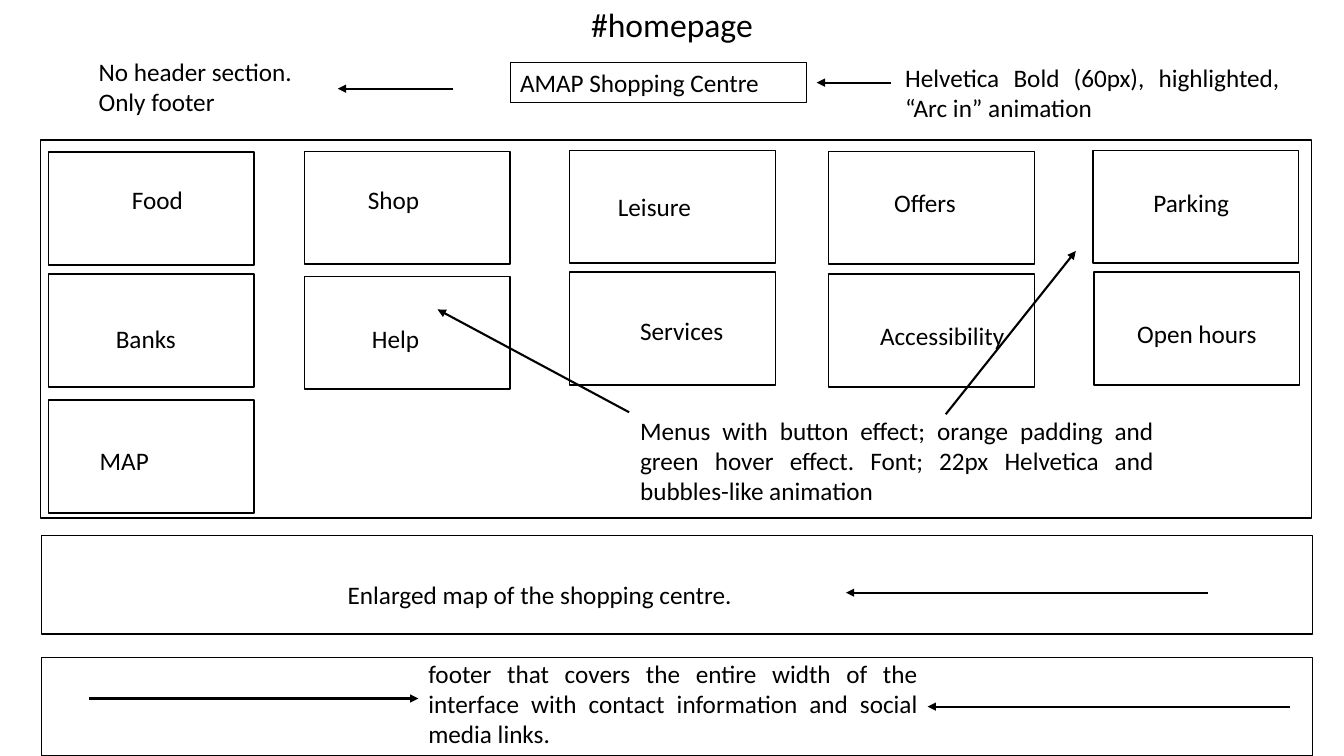
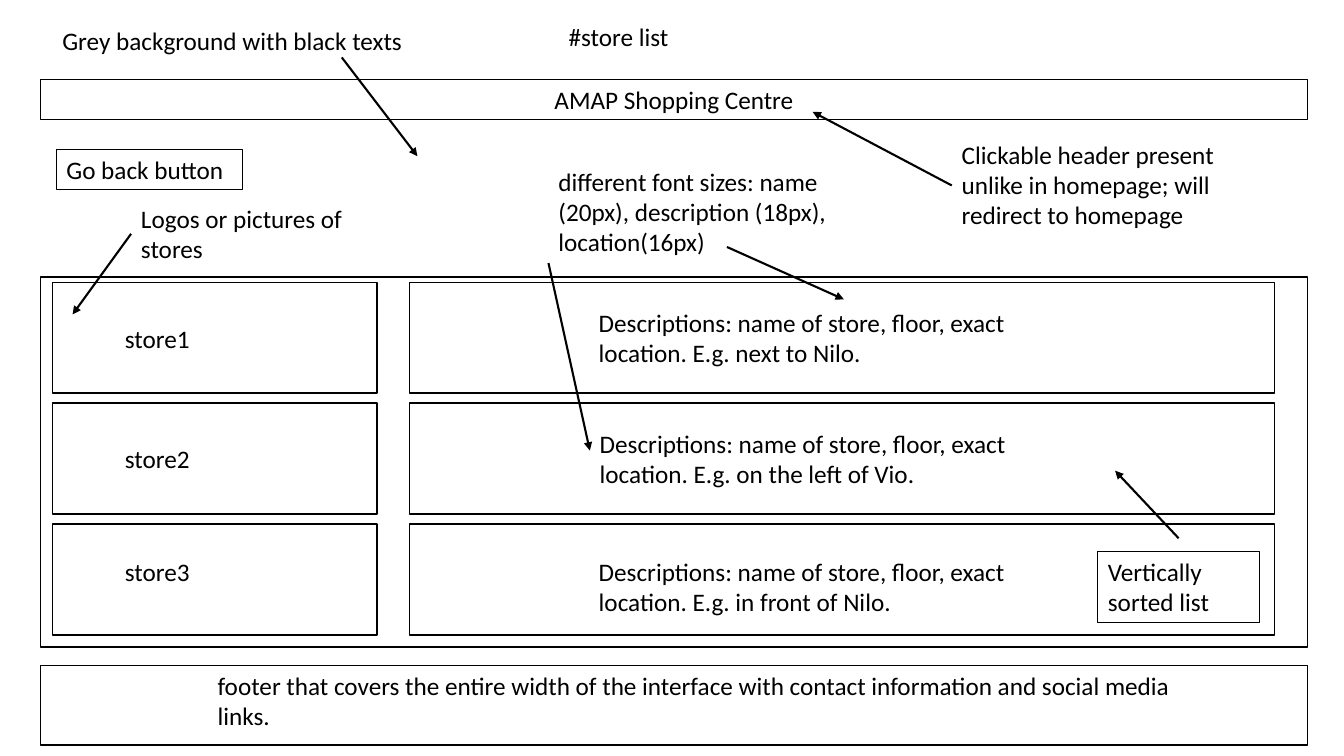
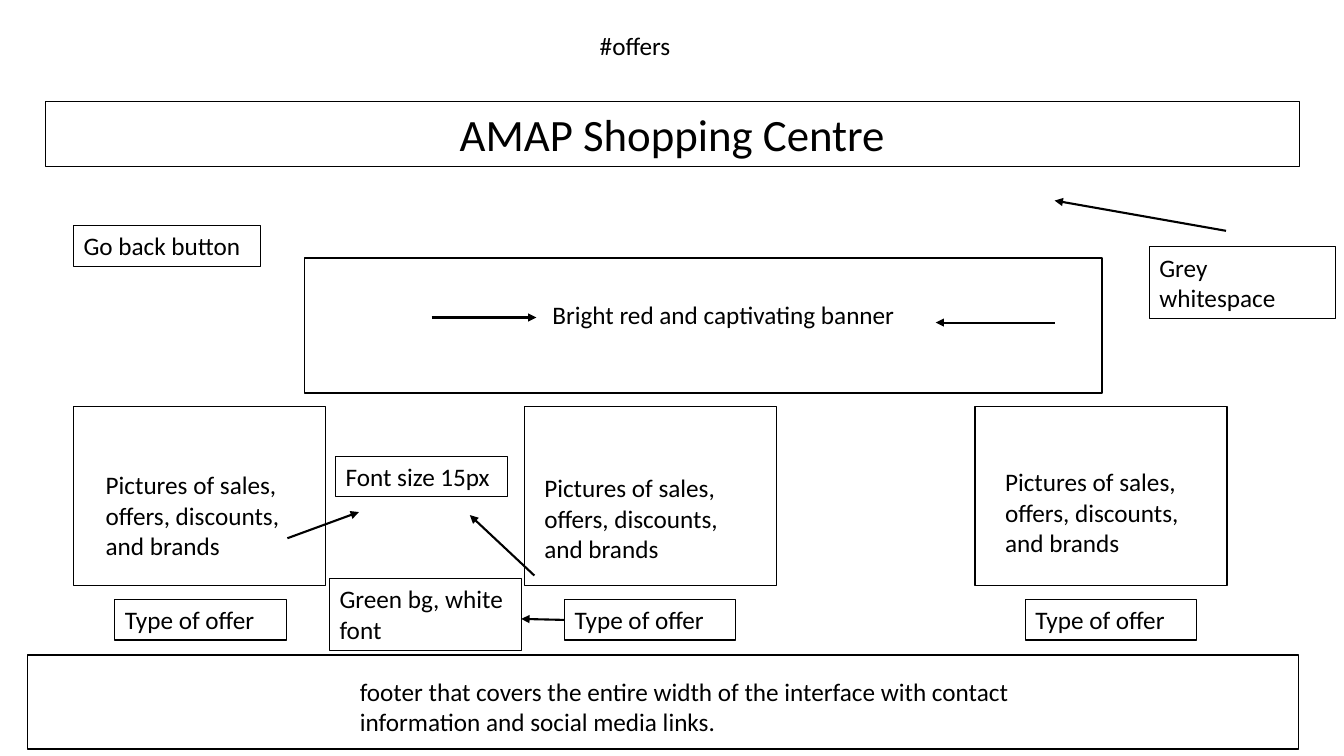
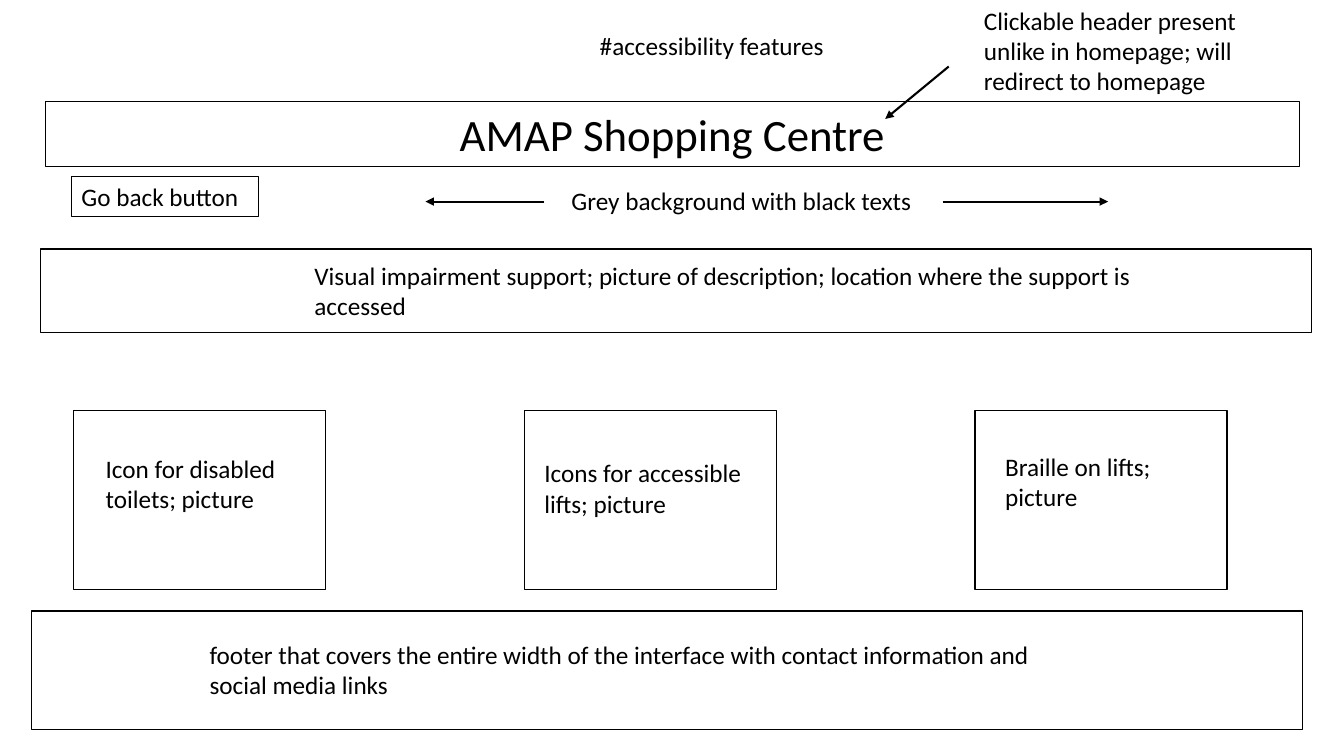
from dataclasses import dataclass

from lxml import etree
from pptx import Presentation, util as u
from pptx.dml import color
from pptx.enum import shapes, text as txt
from pptx.oxml import ns
from pptx.slide import Slide


@dataclass(frozen=True)
class Theme:
    font: str = "Calibri"
    ink: color.RGBColor = color.RGBColor(0, 0, 0)
    body: float = 18
    title: float = 24
    brand: float = 32
    frame: float = 1
    edge: float = 0.75
    arrow: float = 1.5


@dataclass(frozen=True)
class Rect:
    left: float
    top: float
    width: float
    height: float

    def size(self) -> list[u.Inches]:
        return [u.Inches(n) for n in (self.left, self.top, self.width, self.height)]


@dataclass(frozen=True)
class Note:
    words: str
    area: Rect
    align: txt.PP_ALIGN = txt.PP_ALIGN.LEFT
    points: float = Theme.body
    edged: bool = False


@dataclass(frozen=True)
class Arrow:
    x1: float
    y1: float
    x2: float
    y2: float


@dataclass(frozen=True)
class Menu:
    name: str
    left: float
    top: float
    x: float
    y: float
    width: float = 0.99


@dataclass(frozen=True)
class Card:
    words: str
    x: float
    y: float
    width: float
    height: float


THEME = Theme()
MID = txt.PP_ALIGN.CENTER
FULL = txt.PP_ALIGN.JUSTIFY
BRAND = "AMAP Shopping Centre"
BACK = "Go back button"
GREY = "Grey background with black texts"
CLICK = "Clickable header present unlike in homepage; will redirect to homepage"
FOOT = "footer that covers the entire width of the interface with contact information and social media links"


def draw_frame(slide: Slide, area: Rect) -> None:
    box = slide.shapes.add_shape(shapes.MSO_SHAPE.RECTANGLE, *area.size())
    box.shadow.inherit = False
    box.fill.background()
    box.line.color.rgb = THEME.ink
    box.line.width = u.Pt(THEME.frame)


def draw_note(slide: Slide, note: Note) -> None:
    box = slide.shapes.add_textbox(*note.area.size())
    if note.edged:
        box.line.color.rgb = THEME.ink
        box.line.width = u.Pt(THEME.edge)
    frame = box.text_frame
    frame.word_wrap = True
    frame.auto_size = txt.MSO_AUTO_SIZE.SHAPE_TO_FIT_TEXT
    frame.text = note.words
    for para in frame.paragraphs:
        para.alignment = note.align
        for run in para.runs:
            run.font.name = THEME.font
            run.font.size = u.Pt(note.points)
            run.font.color.rgb = THEME.ink


def draw_arrow(slide: Slide, arrow: Arrow) -> None:
    ends = [u.Inches(n) for n in (arrow.x1, arrow.y1, arrow.x2, arrow.y2)]
    link = slide.shapes.add_connector(shapes.MSO_CONNECTOR.STRAIGHT, *ends)
    link.line.color.rgb = THEME.ink
    link.line.width = u.Pt(THEME.arrow)
    props = link._element.spPr
    etree.SubElement(props.find(ns.qn("a:ln")), ns.qn("a:tailEnd"), type="triangle")
    etree.SubElement(props, ns.qn("a:effectLst"))


def draw_all(slide: Slide, frames: list[Rect], notes: list[Note], arrows: list[Arrow]) -> None:
    for area in frames:
        draw_frame(slide, area)
    for note in notes:
        draw_note(slide, note)
    for arrow in arrows:
        draw_arrow(slide, arrow)


def draw_brand(slide: Slide) -> None:
    draw_note(slide, Note(BRAND, Rect(0.45, 1.01, 12.44, 0.64), MID, THEME.brand, True))


def draw_back(slide: Slide, left: float, top: float) -> None:
    draw_note(slide, Note(BACK, Rect(left, top, 1.85, 0.4), edged=True))


def draw_cards(slide: Slide, top: float, cards: list[Card]) -> None:
    for col, card in enumerate(cards):
        draw_frame(slide, Rect(0.73 + 4.47 * col, top, 2.5, 1.78))
        draw_note(slide, Note(card.words, Rect(card.x, card.y, card.width, card.height)))


def draw_home(slide: Slide) -> None:
    menus = [
        Menu("Food", 0.48, 1.51, 1.21, 1.78),
        Menu("Shop", 3.02, 1.5, 3.55, 1.78),
        Menu("Leisure", 5.65, 1.49, 6.03, 1.85),
        Menu("Offers", 8.22, 1.5, 8.77, 1.81),
        Menu("Parking", 10.84, 1.49, 11.34, 1.81),
        Menu("Banks", 0.48, 2.72, 1.05, 3.16),
        Menu("Help", 3.02, 2.74, 3.59, 3.16),
        Menu("Services", 5.65, 2.7, 6.25, 3.08, 1.15),
        Menu("Accessibility", 8.22, 2.72, 8.63, 3.13, 1.62),
        Menu("Open hours", 10.85, 2.7, 11.18, 3.11, 1.61),
        Menu("MAP", 0.48, 3.97, 0.89, 4.37),
    ]
    for menu in menus:
        draw_frame(slide, Rect(menu.left, menu.top, 2.04, 1.12))
        draw_note(slide, Note(menu.name, Rect(menu.x, menu.y, menu.width, 0.4)))
    draw_all(
        slide,
        [
            Rect(0.4, 1.39, 12.61, 3.75),
            Rect(0.41, 5.31, 12.61, 0.98),
            Rect(0.41, 6.52, 12.61, 0.98),
        ],
        [
            Note("#homepage", Rect(0, -0.01, 13.33, 0.5), MID, THEME.title),
            Note(BRAND, Rect(5.06, 0.62, 2.94, 0.4), edged=True),
            Note("No header section.\nOnly footer", Rect(0.88, 0.51, 2.37, 0.71), FULL),
            Note("Helvetica Bold (60px), highlighted, “Arc in” animation",
                 Rect(8.88, 0.57, 3.91, 0.7), FULL),
            Note("Menus with button effect; orange padding and green hover effect. "
                 "Font; 22px Helvetica and bubbles-like animation",
                 Rect(6.25, 4.07, 5.29, 1.01), FULL),
            Note("Enlarged map of the shopping centre.", Rect(3.35, 5.7, 5.05, 0.4), FULL),
            Note(FOOT + ".", Rect(4.15, 6.48, 5.05, 1.01), FULL),
        ],
        [
            Arrow(4.49, 0.88, 3.35, 0.88),
            Arrow(8.84, 0.82, 8.1, 0.82),
            Arrow(6.24, 4.09, 4.34, 3.07),
            Arrow(9.38, 4.11, 10.67, 2.49),
            Arrow(11.98, 5.88, 8.39, 5.88),
            Arrow(0.88, 6.93, 4.15, 6.93),
            Arrow(12.79, 7.01, 9.2, 7.01),
        ],
    )


def draw_stores(slide: Slide) -> None:
    stores = [
        ("next to Nilo", 5.84, 3, 3.16),
        ("on the left of Vio", 5.85, 4.2, 4.35),
        ("in front of Nilo", 5.84, 5.47, 5.47),
    ]
    for row, (place, x, y, name_y) in enumerate(stores):
        top = 2.8 + 1.2 * row
        draw_frame(slide, Rect(0.52, top, 3.22, 1.1))
        draw_frame(slide, Rect(4.06, top, 8.58, 1.1))
        draw_note(slide, Note(f"store{row + 1}", Rect(1.14, name_y, 1.27, 0.4)))
        words = f"Descriptions: name of store, floor, exact location. E.g. {place}."
        draw_note(slide, Note(words, Rect(x, y, 4.96, 0.71)))
    draw_back(slide, 0.56, 1.48)
    draw_all(
        slide,
        [Rect(0.4, 2.75, 12.57, 3.67), Rect(0.4, 6.6, 12.57, 0.79)],
        [
            Note("#store list", Rect(5.54, 0.16, 2.29, 0.4)),
            Note(BRAND, Rect(0.4, 0.79, 12.57, 0.4), MID, edged=True),
            Note(GREY, Rect(0.52, 0.2, 3.66, 0.4)),
            Note("Logos or pictures of stores", Rect(1.3, 1.97, 2.69, 0.71)),
            Note(CLICK, Rect(9.44, 1.33, 3.05, 1.01)),
            Note("different font sizes: name (20px), description (18px), location(16px)",
                 Rect(5.44, 1.6, 3.25, 1.01)),
            Note("Vertically sorted list", Rect(10.89, 5.47, 1.6, 0.71), edged=True),
            Note(FOOT + ".", Rect(2.06, 6.6, 9.81, 0.71)),
        ],
        [
            Arrow(3.39, 0.57, 4.14, 1.55),
            Arrow(1.3, 2.32, 0.72, 3.12),
            Arrow(9.44, 1.84, 8.06, 1.11),
            Arrow(7.21, 2.45, 8.37, 2.97),
            Arrow(5.44, 2.61, 5.85, 4.47),
            Arrow(11.69, 5.34, 11.06, 4.67),
        ],
    )


def draw_offers(slide: Slide) -> None:
    sales = "Pictures of sales, offers, discounts, and brands"
    draw_brand(slide)
    draw_back(slide, 0.73, 2.24)
    draw_cards(slide, 4.03, [
        Card(sales, 0.95, 4.61, 2.07, 1.01),
        Card(sales, 5.3, 4.64, 2.29, 1.01),
        Card(sales, 9.87, 4.58, 2.29, 1.01),
    ])
    for left in (1.14, 5.6, 10.17):
        draw_note(slide, Note("Type of offer", Rect(left, 5.95, 1.7, 0.4), edged=True))
    draw_all(
        slide,
        [Rect(3.02, 2.56, 7.91, 1.34), Rect(0.27, 6.5, 12.61, 0.93)],
        [
            Note("#offers", Rect(5.85, 0.25, 2.16, 0.4)),
            Note("Bright red and captivating banner", Rect(5.38, 2.92, 3.66, 0.4)),
            Note("Grey whitespace", Rect(11.4, 2.45, 1.85, 0.71), edged=True),
            Note("Font size 15px", Rect(3.33, 4.53, 1.7, 0.4), edged=True),
            Note("Green bg, white font", Rect(3.27, 5.74, 1.9, 0.71), edged=True),
            Note(FOOT + ".", Rect(3.47, 6.66, 6.91, 0.71)),
        ],
        [
            Arrow(12.16, 2.29, 10.46, 1.99),
            Arrow(4.28, 3.15, 5.32, 3.15),
            Arrow(10.46, 3.2, 9.28, 3.2),
            Arrow(2.85, 5.34, 3.56, 5.08),
            Arrow(5.3, 5.71, 4.66, 5.11),
            Arrow(5.6, 6.15, 5.17, 6.14),
        ],
    )


def draw_access(slide: Slide) -> None:
    draw_brand(slide)
    draw_back(slide, 0.71, 1.75)
    draw_cards(slide, 4.07, [
        Card("Icon for disabled toilets; picture", 0.95, 4.45, 2.07, 0.71),
        Card("Icons for accessible lifts; picture", 5.3, 4.49, 2.29, 0.71),
        Card("Braille on lifts; picture", 9.87, 4.43, 2.29, 0.71),
    ])
    draw_all(
        slide,
        [Rect(0.4, 2.47, 12.61, 0.83), Rect(0.31, 6.06, 12.61, 1.18)],
        [
            Note("#accessibility features", Rect(5.85, 0.25, 2.44, 0.4)),
            Note(CLICK, Rect(9.66, 0, 3.05, 1.01)),
            Note(GREY, Rect(5.57, 1.79, 3.66, 0.4)),
            Note("Visual impairment support; picture of description; "
                 "location where the support is accessed", Rect(3.02, 2.53, 8.58, 0.71)),
            Note(FOOT, Rect(1.98, 6.29, 8.43, 0.71)),
        ],
        [
            Arrow(9.41, 0.66, 8.78, 1.18),
            Arrow(5.4, 2, 4.22, 2),
            Arrow(9.35, 2, 10.99, 2),
        ],
    )


def main() -> None:
    deck = Presentation()
    deck.slide_width = u.Inches(13.33)
    deck.slide_height = u.Inches(7.5)
    for draw in (draw_home, draw_stores, draw_offers, draw_access):
        draw(deck.slides.add_slide(deck.slide_layouts[6]))
    deck.save("out.pptx")


if __name__ == "__main__":
    main()
